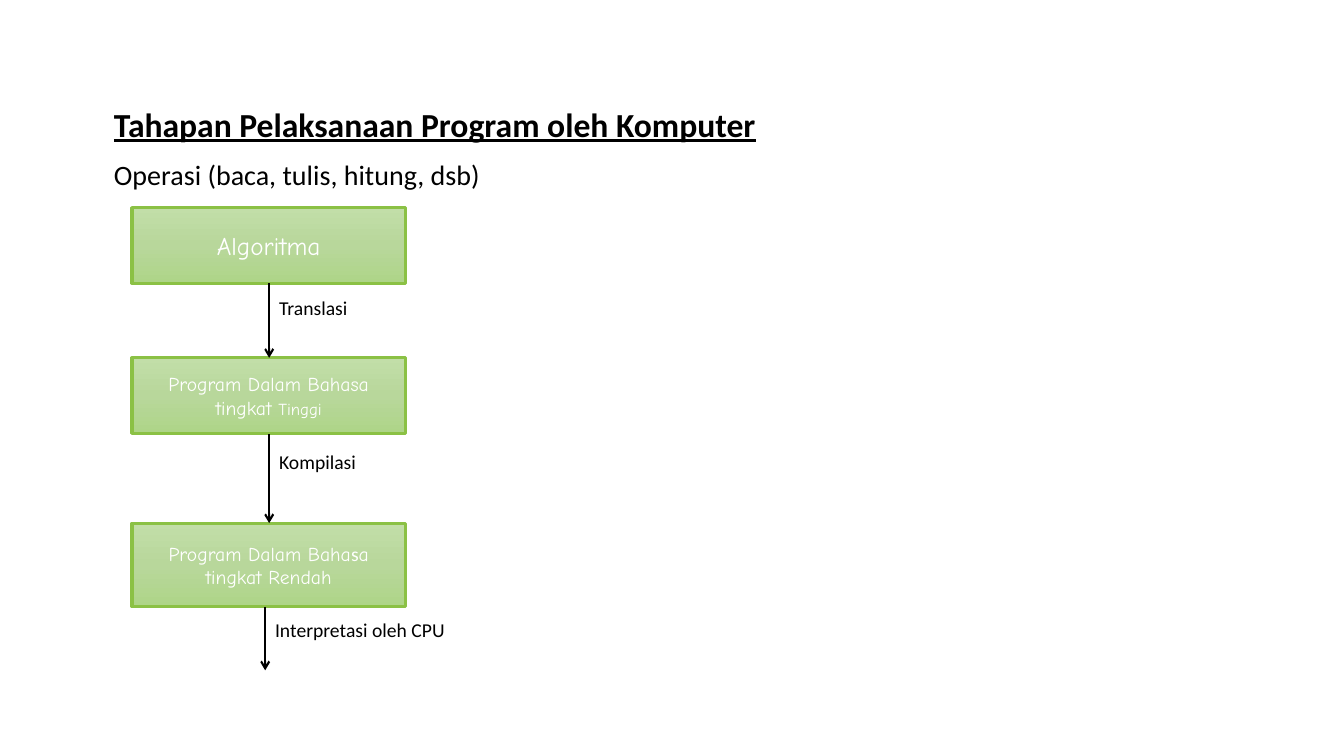
from copy import deepcopy

from pptx import Presentation
from pptx.dml.color import RGBColor
from pptx.enum import shapes, text
from pptx.oxml.ns import qn
from pptx.util import Inches, Pt

BLACK = RGBColor(0x00, 0x00, 0x00)
WHITE = RGBColor(0xFF, 0xFF, 0xFF)
BORDER_GREEN = RGBColor(0x8B, 0xC1, 0x45)
GRADIENT = [
    (0, RGBColor(0xC2, 0xDE, 0xA8)),
    (0.5, RGBColor(0xB8, 0xD7, 0x9B)),
    (1, RGBColor(0xAE, 0xD5, 0x88)),
]
BOX_LEFT, BOX_WIDTH = 1.31, 2.71


def add_span(para, wording, **formats):
    span = para.add_run()
    span.text = wording
    color = formats.pop("color", BLACK)
    for name, value in {"name": "Calibri", **formats}.items():
        setattr(span.font, name, value)
    span.font.color.rgb = color


deck = Presentation()
deck.slide_width, deck.slide_height = Inches(13.33), Inches(7.5)
page = deck.slides.add_slide(deck.slide_layouts[1])

# Heading and introduction
headings = [
    (page.shapes.title, (1.03, 0.98, 6.63, 0.5),
     "Tahapan Pelaksanaan Program oleh Komputer",
     {"size": Pt(24), "bold": True, "underline": True}),
    (page.placeholders[1], (1.03, 1.51, 3.86, 0.44),
     "Operasi (baca, tulis, hitung, dsb)", {"size": Pt(20)}),
]
for holder, place, wording, formats in headings:
    holder.left, holder.top, holder.width, holder.height = map(Inches, place)
    frame = holder.text_frame
    frame.word_wrap = False
    frame.auto_size = text.MSO_AUTO_SIZE.NONE
    frame.vertical_anchor = text.MSO_ANCHOR.TOP
    para = frame.paragraphs[0]
    para.alignment = text.PP_ALIGN.LEFT
    para.space_before = Pt(0)
    properties = para._p.get_or_add_pPr()
    properties.set("marL", "0")
    properties.set("indent", "0")
    properties.append(properties.makeelement(qn("a:buNone"), {}))
    add_span(para, wording, **formats)

# Stages: top, height, spans of text with size and font
stages = [
    (2.06, 0.75, [("Algoritma", 18, "Comic Neue")]),
    (3.55, 0.75, [("Program Dalam Bahasa tingkat ", 14, "Comic Neue"),
                  ("Tinggi", 12, "Comic Neue")]),
    (5.19, 0.83, [("Program Dalam Baha", 14, "Comic Neue"),
                  ("s", 14, "Calibri"),
                  ("a tingkat Rendah", 14, "Comic Neue")]),
]
for top, height, spans in stages:
    box = page.shapes.add_shape(
        shapes.MSO_SHAPE.RECTANGLE,
        Inches(BOX_LEFT), Inches(top), Inches(BOX_WIDTH), Inches(height))
    box.shadow.inherit = False
    box.line.color.rgb = BORDER_GREEN
    box.line.width = Pt(2.25)
    box.fill.gradient()
    box.fill.gradient_angle = 270
    first_stop = box._element.spPr.find(".//" + qn("a:gs"))
    first_stop.addnext(deepcopy(first_stop))
    for stop, (position, color) in zip(box.fill.gradient_stops, GRADIENT):
        stop.position = position
        stop.color.rgb = color
    box.text_frame.word_wrap = True
    box.text_frame.vertical_anchor = text.MSO_ANCHOR.MIDDLE
    para = box.text_frame.paragraphs[0]
    para.alignment = text.PP_ALIGN.CENTER
    for wording, size, font in spans:
        add_span(para, wording, size=Pt(size), name=font, color=WHITE)

# Steps: arrow x, start and end, then label top, width and wording
steps = [
    (2.67, 2.81, 3.55, 2.89, 1.59, "Translasi"),
    (2.67, 4.31, 5.19, 4.41, 1.59, "Kompilasi"),
    (2.63, 6.02, 6.65, 6.08, 2.1, "Interpretasi oleh CPU"),
]
for x, start, end, label_top, label_width, wording in steps:
    arrow = page.shapes.add_connector(
        shapes.MSO_CONNECTOR.STRAIGHT,
        Inches(x), Inches(start), Inches(x), Inches(end))
    arrow.line.color.rgb = BLACK
    arrow.line.width = Pt(1.5)
    line = arrow.line._get_or_add_ln()
    line.append(line.makeelement(qn("a:tailEnd"), {"type": "arrow"}))
    outline = arrow._element.spPr
    outline.append(outline.makeelement(qn("a:effectLst"), {}))

    label = page.shapes.add_textbox(
        Inches(x), Inches(label_top), Inches(label_width), Inches(0.34))
    label.text_frame.word_wrap = True
    add_span(label.text_frame.paragraphs[0], wording, size=Pt(14))

deck.save("out.pptx")
